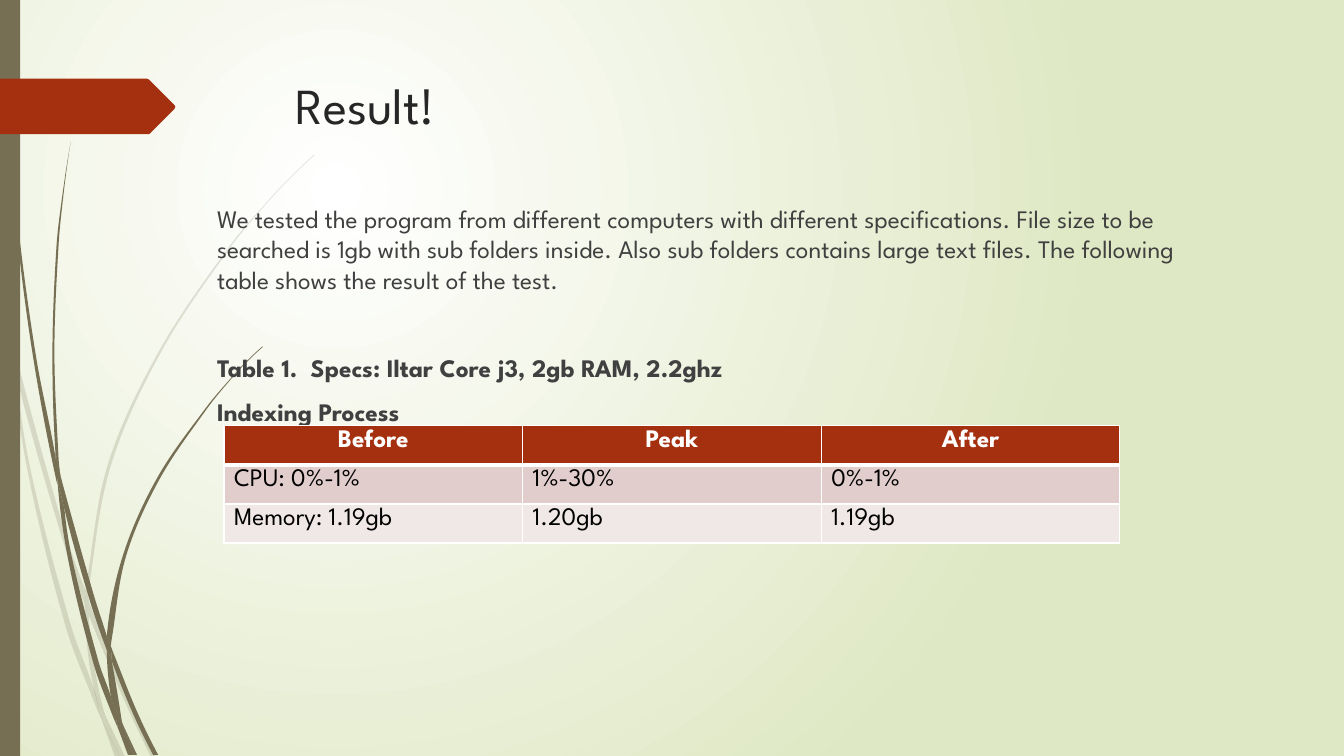
from dataclasses import dataclass
from math import hypot

from lxml import etree
from pptx import Presentation, util as u
from pptx.dml.color import RGBColor
from pptx.enum import shapes, text
from pptx.oxml.ns import qn


@dataclass(frozen=True)
class Theme:
    font: str = "League Spartan"
    title_size: float = 36
    body_size: float = 18
    title: str = "262626"
    body: str = "404040"
    cell: str = "000000"
    white: str = "FFFFFF"
    glow: str = "DFE8C4"
    grass: str = "766F54"
    accent: str = "A53010"
    rows: tuple = ("A53010", "E1CDCC", "F0E8E7")


THEME = Theme()
GRID = 0.72  # points per unit of the outlines below

# Each piece of grass is a pair of edges: down one side, back up the other
FAINT_GRASS = [
    ([(11, 350), (9, 322), (0, 282)], [(0, 299), (10, 344), (11, 348)]),
    ([(14, 345), (17, 376), (58, 522), (84, 599)], [(85, 586), (62, 520), (14, 345)]),
    ([(88, 596), (92, 607), (127, 692), (155, 751)], [(150, 751), (123, 694), (88, 610)]),
    ([(105, 711), (124, 751)], [(119, 751)]),
    ([(11, 350), (28, 470), (65, 621), (92, 693), (101, 714)],
     [(99, 707), (93, 683), (70, 619), (31, 469), (17, 376)]),
    ([(84, 599), (87, 646), (93, 683), (96, 692), (105, 711)],
     [(103, 706), (91, 646), (88, 610), (88, 608)]),
    ([(88, 596), (88, 584), (110, 462), (160, 349), (229, 245), (268, 198), (290, 175), (312, 154)],
     [(312, 153), (289, 175), (268, 197), (228, 244), (158, 348), (107, 461), (85, 584), (85, 586)]),
    ([(101, 714), (114, 751)], [(119, 751)]),
    ([(88, 608), (88, 596)], [(85, 586), (84, 599)]),
    ([(93, 683), (99, 707), (101, 714), (119, 751)], [(105, 711), (96, 692)]),
]
DARK_GRASS = [
    ([(4, 0), (5, 48), (8, 109), (19, 232), (36, 355), (55, 453), (57, 481)],
     [(56, 477), (33, 355), (17, 233), (7, 110), (4, 48), (3, 0)]),
    ([(60, 472), (64, 505), (88, 592), (106, 645)], [(106, 633), (106, 631), (93, 590), (60, 472)]),
    ([(110, 641), (113, 649), (136, 706), (157, 749)], [(152, 749), (132, 708), (111, 656)]),
    ([(57, 477), (68, 557), (93, 659), (111, 708), (117, 722)],
     [(116, 717), (110, 691), (98, 657), (72, 556), (64, 505)]),
    ([(70, 141), (63, 193), (58, 245), (54, 349), (58, 453), (60, 472)],
     [(55, 449), (52, 349), (56, 245), (62, 193), (70, 141)]),
    ([(122, 719), (136, 749)], [(133, 749)]),
    ([(55, 449), (60, 472), (64, 505)], [(57, 477), (55, 453)]),
    ([(110, 641), (111, 633), (125, 552), (158, 476), (205, 406), (231, 374), (245, 359), (261, 344)],
     [(260, 344), (245, 358), (231, 373), (204, 405), (156, 474), (122, 551), (106, 631)]),
    ([(117, 722), (127, 749)], [(131, 749)]),
    ([(106, 645), (110, 691), (116, 706), (122, 719)], [(121, 716), (111, 656), (109, 651)]),
    ([(106, 645), (109, 651), (111, 656)], [(110, 641), (106, 631), (106, 633)]),
    ([(110, 691), (116, 717), (117, 722), (130, 749)], [(133, 749), (122, 719), (116, 706)]),
]
ARROW = [(0, 0), (146, 0), (148, 1), (173, 26), (174, 28), (173, 30), (148, 55), (0, 55)]


def rgb(color):
    return RGBColor.from_string(color)


def paint(shape, color, opacity=None):
    shape.shadow.inherit = False
    shape.fill.solid()
    shape.fill.fore_color.rgb = rgb(color)
    shape.line.fill.background()
    if opacity:
        color_element = shape._element.spPr.find(qn("a:solidFill"))[0]
        etree.SubElement(color_element, qn("a:alpha")).set("val", str(opacity * 1000))


def unit(start, end):
    length = hypot(end[0] - start[0], end[1] - start[1]) or 1
    return (end[0] - start[0]) / length, (end[1] - start[1]) / length


def mirror(direction, chord):
    dot = direction[0] * chord[0] + direction[1] * chord[1]
    return tuple(2 * dot * c - d for c, d in zip(chord, direction))


def edge_handles(edge):
    """Give the two control points of the curve to each point after the first."""
    chords = [unit(start, end) for start, end in zip(edge, edge[1:])]
    inner = [unit(before, after) for before, after in zip(edge, edge[2:])]
    if inner:
        slopes = [mirror(inner[0], chords[0]), *inner, mirror(inner[-1], chords[-1])]
    else:
        slopes = chords * 2
    for start, end, leave, arrive in zip(edge, edge[1:], slopes, slopes[1:]):
        reach = hypot(end[0] - start[0], end[1] - start[1]) / 3
        yield ([p + reach * d for p, d in zip(start, leave)],
               [p - reach * d for p, d in zip(end, arrive)])


def bend(shape, edge_lengths):
    """Turn the straight segments along each edge into curves."""
    points = list(shape._element.iter(qn("a:pt")))
    first = 0
    for length in edge_lengths:
        edge = points[first:first + length]
        places = [(int(point.get("x")), int(point.get("y"))) for point in edge]
        for point, controls in zip(edge[1:], edge_handles(places)):
            segment = point.getparent()
            curve = etree.Element(qn("a:cubicBezTo"))
            for x, y in controls:
                etree.SubElement(curve, qn("a:pt"), x=str(round(x)), y=str(round(y)))
            segment.getparent().replace(segment, curve)
            curve.append(point)
        first += length


def add_outline(slide, left, top, points, color, opacity=None):
    placed = [(u.Pt(left + x * GRID), u.Pt(top + y * GRID)) for x, y in points]
    builder = slide.shapes.build_freeform(*placed[0])
    builder.add_line_segments(placed[1:], close=True)
    shape = builder.convert_to_shape()
    paint(shape, color, opacity)
    return shape


def format_runs(paragraph, size, color, bold=False):
    for run in paragraph.runs:
        run.font.name, run.font.size, run.font.bold = THEME.font, u.Pt(size), bold
        run.font.color.rgb = rgb(color)


def add_background(slide):
    fill = slide.background.fill
    fill.gradient()
    for stop, color in zip(fill.gradient_stops, (THEME.white, THEME.glow)):
        stop.color.rgb = rgb(color)
    gradient = slide._element.find(".//" + qn("a:gradFill"))
    gradient.remove(gradient.find(qn("a:lin")))
    circle = etree.SubElement(gradient, qn("a:path"))
    circle.set("path", "circle")
    center = etree.SubElement(circle, qn("a:fillToRect"))
    for side, share in zip("ltrb", (50000, 50000, 100000, 100000)):
        center.set(side, str(share))


def add_decoration(slide, left, top, height):
    # Grass
    for pieces, opacity in ((FAINT_GRASS, 20), (DARK_GRASS, None)):
        for down, back in pieces:
            blade = add_outline(slide, left, top, down + back, THEME.grass, opacity)
            bend(blade, (len(down), len(back)))
    # Side bar
    bar = slide.shapes.add_shape(shapes.MSO_SHAPE.RECTANGLE, u.Pt(left), u.Pt(top), u.Pt(14.4), u.Pt(height))
    paint(bar, THEME.grass)
    # Arrow beside the title
    add_outline(slide, left, top + 56.2, ARROW, THEME.accent)


def add_text(slide, left, top, width, height, lines):
    """Each line is wording, size, color, bold and space before."""
    box = slide.shapes.add_textbox(u.Pt(left), u.Pt(top), u.Pt(width), u.Pt(height))
    frame = box.text_frame
    frame.word_wrap = True
    frame.text = "\n".join(line[0] for line in lines)
    for paragraph, (_, size, color, bold, space) in zip(frame.paragraphs, lines):
        paragraph.space_before = u.Pt(space)
        format_runs(paragraph, size, color, bold)


def set_borders(cell, widths):
    properties = cell._tc.get_or_add_tcPr()
    for index, (side, width) in enumerate(zip("LRTB", widths)):
        line = etree.Element(qn("a:ln" + side), w=str(u.Pt(width)))
        fill = etree.SubElement(line, qn("a:solidFill"))
        etree.SubElement(fill, qn("a:srgbClr")).set("val", THEME.white)
        properties.insert(index, line)


def add_results(slide, left, top, width, height, rows):
    table = slide.shapes.add_table(len(rows), len(rows[0]), u.Pt(left), u.Pt(top),
                                   u.Pt(width), u.Pt(height)).table
    for row, values in enumerate(rows):
        header = row == 0
        for column, value in enumerate(values):
            cell = table.cell(row, column)
            cell.text = value
            cell.margin_top = cell.margin_bottom = u.Pt(3)
            cell.fill.solid()
            cell.fill.fore_color.rgb = rgb(THEME.rows[row])
            set_borders(cell, (1, 1, 3 if row == 1 else 1, 3 if header else 1))
            paragraph = cell.text_frame.paragraphs[0]
            paragraph.alignment = text.PP_ALIGN.CENTER if header else text.PP_ALIGN.LEFT
            format_runs(paragraph, THEME.body_size, THEME.white if header else THEME.cell, header)


presentation = Presentation()
presentation.slide_width, presentation.slide_height = u.Pt(960), u.Pt(540)
slide = presentation.slides.add_slide(presentation.slide_layouts[6])
add_background(slide)
add_decoration(slide, 0, 0, 540)
add_text(slide, 204, 49.4, 702, 100.8, [("Result!", THEME.title_size, THEME.title, False, 0)])
add_text(slide, 148, 141.8, 702, 297.4, [
    ("We tested the program from different computers with different specifications. "
     "File size to be searched is 1gb with sub folders inside. Also sub folders contains "
     "large text files. The following table shows the result of the test.",
     THEME.body_size, THEME.body, False, 0),
    ("Table 1.  Specs: Iltar Core j3, 2gb RAM, 2.2ghz", THEME.body_size, THEME.body, True, 41.5),
    ("Indexing Process", THEME.body_size, THEME.body, True, 10),
])
add_results(slide, 160, 304, 640, 84, [
    ("Before", "Peak", "After"),
    ("CPU: 0%-1%", "1%-30%", "0%-1%"),
    ("Memory: 1.19gb", "1.20gb", "1.19gb"),
])
presentation.save("out.pptx")
